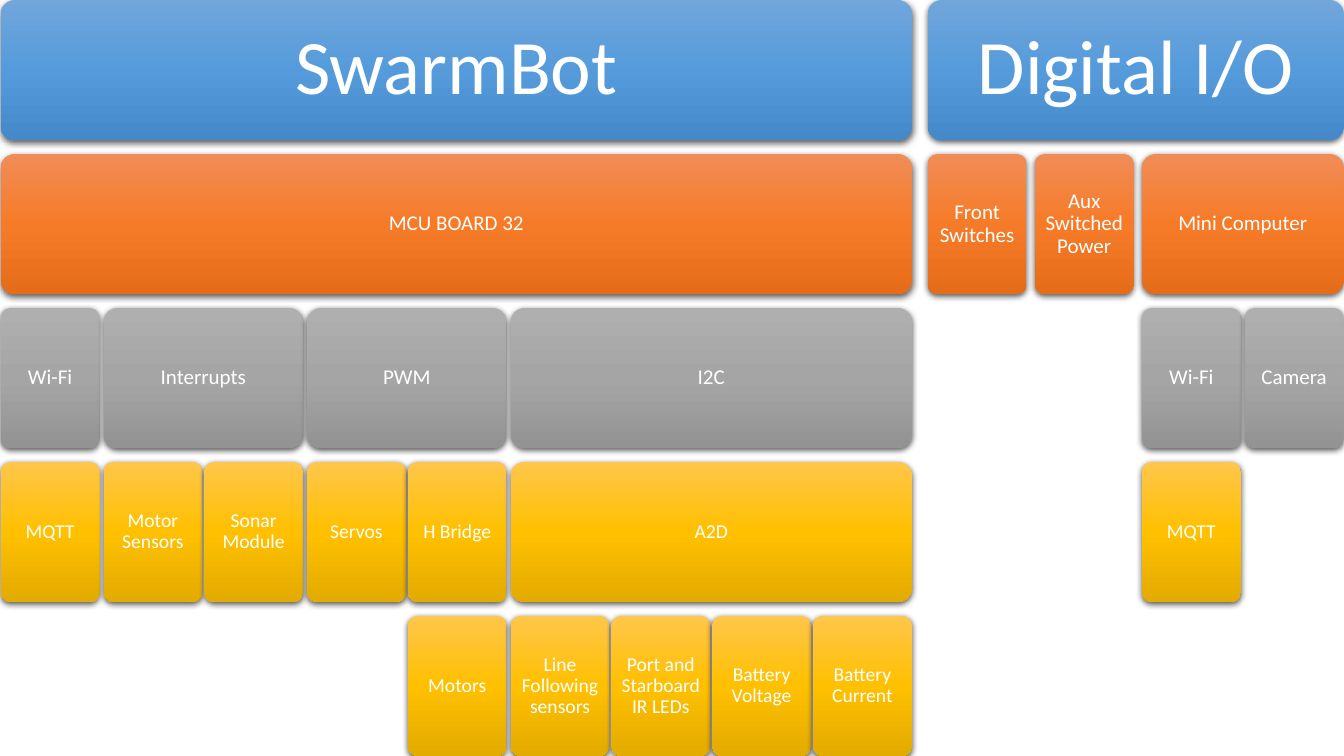
from copy import deepcopy
from dataclasses import dataclass
from typing import NamedTuple

from pptx import Presentation
from pptx import util as u
from pptx.dml.color import RGBColor
from pptx.enum import shapes, text
from pptx.oxml import parse_xml
from pptx.oxml.ns import nsdecls, qn

# Layout, in centimetres
LEFT = 0.02
LEAF_WIDTH = 2.49
ROW_HEIGHT = 3.53
ROW_PITCH = 3.88


class Level(NamedTuple):
    gradient: tuple[str, str, str]
    font_size: int
    inset: float
    gap: float  # between neighbours on this level


@dataclass(frozen=True)
class Block:
    label: str
    children: tuple["Block", ...] = ()


BLUE = ("71A6DB", "559BDB", "448ACA")
ORANGE = ("F18C57", "F67B28", "E56C19")
GREY = ("AFAFAF", "A5A5A5", "939393")
GOLD = ("FFC64B", "FFC000", "E3AB00")

LEVELS = (
    Level(BLUE, 55, 0.58, 0.40),
    Level(ORANGE, 15, 0.15, 0.21),
    Level(GREY, 15, 0.15, 0.10),
    Level(GOLD, 14, 0.15, 0.05),
    Level(GOLD, 14, 0.15, 0.05),
)

SYSTEMS = (
    Block("SwarmBot", (
        Block("MCU BOARD 32", (
            Block("Wi-Fi", (Block("MQTT"),)),
            Block("Interrupts", (Block("Motor Sensors"), Block("Sonar Module"))),
            Block("PWM", (
                Block("Servos"),
                Block("H Bridge", (Block("Motors"),)),
            )),
            Block("I2C", (
                Block("A2D", (
                    Block("Line Following sensors"),
                    Block("Port and Starboard IR LEDs"),
                    Block("Battery Voltage"),
                    Block("Battery Current"),
                )),
            )),
        )),
    )),
    Block("Digital I/O", (
        Block("Front Switches"),
        Block("Aux Switched Power"),
        Block("Mini Computer", (
            Block("Wi-Fi", (Block("MQTT"),)),
            Block("Camera"),
        )),
    )),
)


def rgb(value: str) -> RGBColor:
    return RGBColor.from_string(value)


def block_width(block: Block, depth: int) -> float:
    """A leaf has a fixed width; a parent spans all its children."""
    if not block.children:
        return LEAF_WIDTH
    gaps = LEVELS[depth + 1].gap * (len(block.children) - 1)
    return gaps + sum(block_width(child, depth + 1) for child in block.children)


def fill_gradient(box, colours: tuple[str, str, str]) -> None:
    box.fill.gradient()
    box.fill.gradient_angle = 270
    stop_list = box._element.spPr.find(".//" + qn("a:gsLst"))
    stop_list.append(deepcopy(stop_list[0]))
    for index, (stop, colour) in enumerate(zip(box.fill.gradient_stops, colours)):
        stop.position = index / 2
        stop.color.rgb = rgb(colour)


def add_shadow(box) -> None:
    box.shadow.inherit = False
    box._element.spPr.find(qn("a:effectLst")).append(parse_xml(
        f'<a:outerShdw {nsdecls("a")} blurRad="{u.Pt(4.5)}" dist="{u.Pt(1.5)}" '
        'dir="5400000" algn="ctr" rotWithShape="0">'
        '<a:srgbClr val="000000"><a:alpha val="63000"/></a:srgbClr></a:outerShdw>'))


def draw_block(page, block: Block, left: float, depth: int) -> None:
    level = LEVELS[depth]
    width = block_width(block, depth)
    box = page.shapes.add_shape(
        shapes.MSO_SHAPE.ROUNDED_RECTANGLE,
        u.Cm(left), u.Cm(depth * ROW_PITCH), u.Cm(width), u.Cm(ROW_HEIGHT))
    box.adjustments[0] = 0.1
    fill_gradient(box, level.gradient)
    box.line.fill.background()
    add_shadow(box)

    # Label
    frame = box.text_frame
    frame.word_wrap = True
    frame.vertical_anchor = text.MSO_ANCHOR.MIDDLE
    frame.margin_left = frame.margin_right = u.Cm(level.inset)
    frame.margin_top = frame.margin_bottom = u.Cm(level.inset)
    para = frame.paragraphs[0]
    para.text = block.label
    para.alignment = text.PP_ALIGN.CENTER
    para.line_spacing = 0.9
    para.font.name = "Calibri"
    para.font.size = u.Pt(level.font_size)
    para.font.color.rgb = rgb("FFFFFF")

    draw_row(page, block.children, left, depth + 1)


def draw_row(page, blocks: tuple[Block, ...], left: float, depth: int) -> None:
    for block in blocks:
        draw_block(page, block, left, depth)
        left += block_width(block, depth) + LEVELS[depth].gap


# Deck with one blank page
deck = Presentation()
deck.slide_width = u.Cm(33.87)
deck.slide_height = u.Cm(19.05)
page = deck.slides.add_slide(deck.slide_layouts[6])

# Hierarchy of systems
draw_row(page, SYSTEMS, LEFT, 0)

deck.save("out.pptx")
